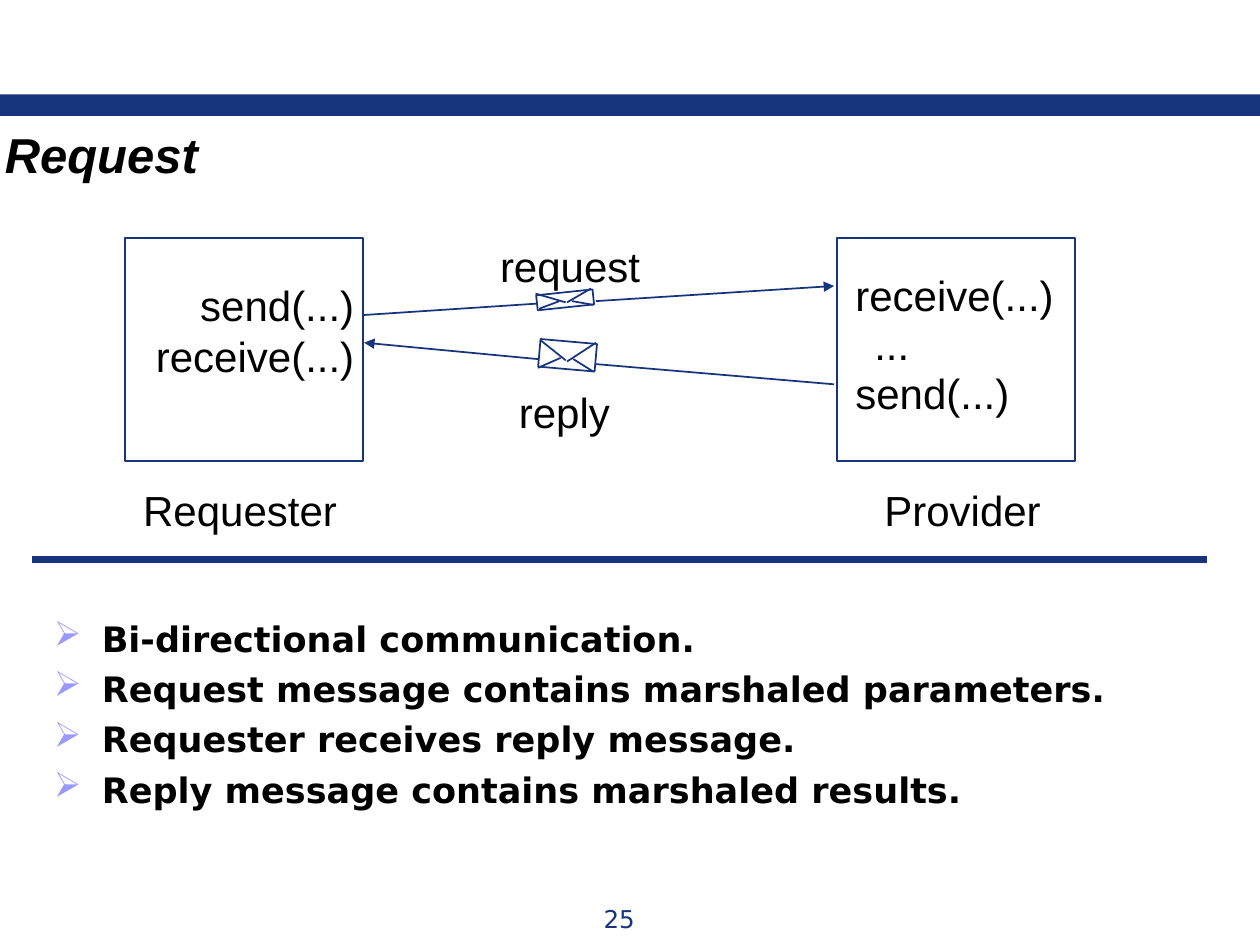
from dataclasses import dataclass

from lxml.etree import SubElement
from pptx import Presentation
from pptx.dml.color import RGBColor
from pptx.enum.shapes import MSO_CONNECTOR, MSO_SHAPE
from pptx.enum.text import MSO_ANCHOR, PP_ALIGN
from pptx.oxml.ns import qn
from pptx.util import Inches, Pt


@dataclass(frozen=True)
class Theme:
    navy: RGBColor = RGBColor(0x17, 0x34, 0x7D)
    black: RGBColor = RGBColor(0, 0, 0)
    bullet: str = "9999FF"
    diagram_font: str = "Arial"
    body_font: str = "DejaVu Sans"
    title_size: int = 28
    label_size: int = 24
    body_size: int = 20
    number_size: int = 14


THEME = Theme()

HEADER_BAR = (0, 0.75, 10, 0.17)
DIVIDER = ((0.25, 4.44), (9.58, 4.44))

TITLE = ("Request", (-0.06, 0.94, 1.76, 0.57))
PAGE_NUMBER = ("25", (3.75, 7.12, 2.33, 0.34))
BULLETS = [
    "Bi-directional communication.",
    "Request message contains marshaled parameters.",
    "Requester receives reply message.",
    "Reply message contains marshaled results.",
]
BULLET_AREA = (0.33, 4.85, 9.67, 2.25)

PARTY_LEFTS = (0.99, 6.64)
PARTY_TOP, PARTY_WIDTH, PARTY_HEIGHT = 1.89, 1.89, 1.77

LABELS = [
    ("send(...)\nreceive(...)", (1.12, 2.17, 1.79, 0.91), PP_ALIGN.RIGHT),
    ("Requester", (1.03, 3.8, 1.75, 0.5), PP_ALIGN.CENTER),
    ("Provider", (6.92, 3.8, 1.45, 0.5), PP_ALIGN.LEFT),
    ("receive(...)", (6.69, 2.09, 1.79, 0.5), PP_ALIGN.LEFT),
    ("...", (6.84, 2.48, 0.48, 0.5), PP_ALIGN.LEFT),
    ("send(...)", (6.69, 2.87, 1.43, 0.5), PP_ALIGN.LEFT),
    ("request", (3.87, 1.86, 1.32, 0.5), PP_ALIGN.LEFT),
    ("reply", (4.02, 3.02, 0.93, 0.5), PP_ALIGN.LEFT),
]

# Each message: a tilted envelope, its folds, and the two halves of its route
MESSAGES = [
    {
        "envelope": (4.26, 2.32, 0.45, 0.12),
        "tilt": -6,
        "folds": [((4.25, 2.33), (4.49, 2.4)), ((4.5, 2.4), (4.69, 2.29)),
                  ((4.44, 2.39), (4.28, 2.45)), ((4.54, 2.39), (4.71, 2.42))],
        "outgoing": ((2.89, 2.5), (4.26, 2.41)),
        "arriving": ((4.73, 2.39), (6.62, 2.27)),
    },
    {
        "envelope": (4.28, 2.71, 0.45, 0.22),
        "tilt": 5,
        "folds": [((4.29, 2.7), (4.49, 2.86)), ((4.5, 2.87), (4.73, 2.72)),
                  ((4.45, 2.84), (4.27, 2.92)), ((4.55, 2.85), (4.71, 2.95))],
        "outgoing": ((6.62, 3.05), (4.73, 2.89)),
        "arriving": ((4.27, 2.85), (2.89, 2.72)),
    },
]


def inches(values):
    return [Inches(value) for value in values]


def add_rectangle(page, area, filled=False, tilt=0):
    box = page.shapes.add_shape(MSO_SHAPE.RECTANGLE, *inches(area))
    box.shadow.inherit = False
    box.rotation = tilt
    if filled:
        box.fill.solid()
        box.fill.fore_color.rgb = THEME.navy
        box.line.fill.background()
    else:
        box.fill.background()
        box.line.color.rgb = THEME.navy
        box.line.width = Pt(1)


def add_line(page, ends, width=1, arrow=False):
    start, end = ends
    line = page.shapes.add_connector(
        MSO_CONNECTOR.STRAIGHT, *inches(start), *inches(end))
    line.line.color.rgb = THEME.navy
    line.line.width = Pt(width)
    if arrow:
        SubElement(line.line._get_or_add_ln(), qn("a:tailEnd"), type="triangle")
    SubElement(line._element.spPr, qn("a:effectLst"))


def add_bullet(paragraph):
    properties = paragraph._p.get_or_add_pPr()
    properties.set("marL", str(Inches(0.38)))
    properties.set("indent", str(-Inches(0.38)))
    color = SubElement(properties, qn("a:buClr"))
    SubElement(color, qn("a:srgbClr"), val=THEME.bullet)
    SubElement(properties, qn("a:buChar"), char="➢")


def add_text(page, text, area, size, font=THEME.diagram_font, color=THEME.black,
             align=PP_ALIGN.LEFT, bold=False, italic=False, wrap=False,
             bulleted=False, anchor=MSO_ANCHOR.TOP):
    frame = page.shapes.add_textbox(*inches(area)).text_frame
    frame.word_wrap = wrap
    frame.vertical_anchor = anchor
    frame.text = text
    for index, paragraph in enumerate(frame.paragraphs):
        paragraph.alignment = align
        if bulleted:
            if index:
                paragraph.space_before = Pt(4.7)
            add_bullet(paragraph)
        for span in paragraph.runs:
            span.font.name = font
            span.font.size = Pt(size)
            span.font.bold = bold
            span.font.italic = italic
            span.font.color.rgb = color


def add_message(page, message):
    add_rectangle(page, message["envelope"], tilt=message["tilt"])
    for fold in message["folds"]:
        add_line(page, fold)
    add_line(page, message["outgoing"])
    add_line(page, message["arriving"], arrow=True)


def main():
    deck = Presentation()
    deck.slide_width, deck.slide_height = Inches(10), Inches(7.5)
    page = deck.slides.add_slide(deck.slide_layouts[6])

    add_rectangle(page, HEADER_BAR, filled=True)
    add_text(page, *PAGE_NUMBER, THEME.number_size, THEME.body_font, THEME.navy,
             PP_ALIGN.CENTER, wrap=True, anchor=MSO_ANCHOR.MIDDLE)
    add_text(page, *TITLE, THEME.title_size, bold=True, italic=True)
    add_text(page, "\n".join(BULLETS), BULLET_AREA, THEME.body_size,
             THEME.body_font, bold=True, wrap=True, bulleted=True)

    for left in PARTY_LEFTS:
        add_rectangle(page, (left, PARTY_TOP, PARTY_WIDTH, PARTY_HEIGHT))
    for message in MESSAGES:
        add_message(page, message)
    for text, area, align in LABELS:
        add_text(page, text, area, THEME.label_size, align=align)
    add_line(page, DIVIDER, width=4)

    deck.save("out.pptx")


if __name__ == "__main__":
    main()
